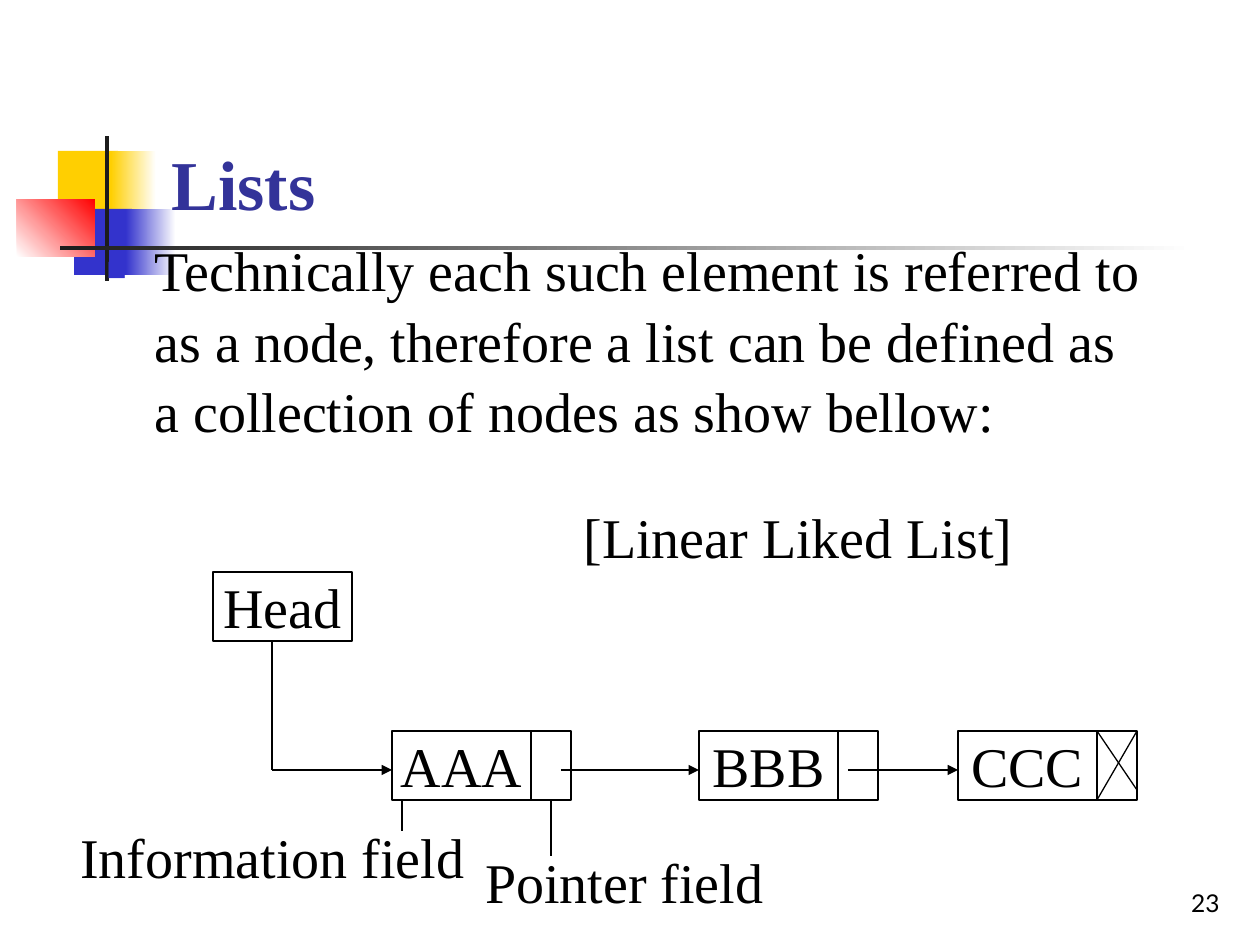
from lxml import etree
from pptx import Presentation
from pptx.dml.color import RGBColor
from pptx.enum import shapes, text
from pptx.oxml import ns
from pptx.util import Emu, Pt

PX = 914400 / 126
SERIF, SANS = "Times New Roman", "Lato"
BLACK = RGBColor(0x00, 0x00, 0x00)
WHITE = RGBColor(0xFF, 0xFF, 0xFF)
INK = RGBColor(0x1C, 0x1C, 0x1C)
GOLD = RGBColor(0xFF, 0xCF, 0x01)
BLUE = RGBColor(0x33, 0x33, 0xCC)
RED = RGBColor(0xFF, 0x00, 0x00)
NAVY = RGBColor(0x33, 0x33, 0x99)

TITLE = "Lists"
BODY = ("Technically each such element is referred to as a node, therefore "
        "a list can be defined as a collection of nodes as show bellow:")
CAPTION = "[Linear Liked List]"
PAGE = "23"

# box, colours (two make a gradient), gradient angle
DECORATION = [
    ((58, 151, 60, 66), (GOLD,), 0),
    ((111, 151, 45, 66), (GOLD, WHITE), 0),
    ((74, 209, 58, 66), (BLUE,), 0),
    ((126, 209, 50, 66), (BLUE, WHITE), 0),
    ((17, 199, 78, 58), (WHITE, RED), 45),
    ((105, 136, 4, 145), (INK,), 0),
    ((60, 246, 1134, 4), (INK, WHITE), 0),
]

HEAD = ("Head", 213, 572)
NODES = [("AAA", 392), ("BBB", 699), ("CCC", 958)]
NODE_Y, INFO_W, POINTER_W, NODE_H = 731, 139, 40, 69
NODE_BOTTOM = NODE_Y + NODE_H
LINK_Y = 770
HEAD_LINK_X = 272
LINK_STARTS = [HEAD_LINK_X, 561, 848]

# text, box, x of the arrow that points at it
FIELDS = [
    ("Information field", (94, 832, 357, 49), 402),
    ("Pointer field", (481, 857, 287, 49), 551),
]
FIELD_ARROW_END = 869


def px(*values):
    return [Emu(round(v * PX)) for v in values]


def place(sp, box):
    sp.left, sp.top, sp.width, sp.height = px(*box)


def write(sp, words, size=32, font=SERIF, color=BLACK, bold=False,
          align=text.PP_ALIGN.LEFT, anchor=text.MSO_ANCHOR.TOP,
          wrap=True, spacing=None):
    tf = sp.text_frame
    tf.auto_size = text.MSO_AUTO_SIZE.NONE
    tf.word_wrap = wrap
    tf.vertical_anchor = anchor
    p = tf.paragraphs[0]
    p.alignment = align
    p.line_spacing = spacing
    r = p.add_run()
    r.text = words
    r.font.size, r.font.name, r.font.bold = Pt(size), font, bold
    r.font.color.rgb = color
    return p


def add_rect(slide, box, colors=(WHITE,), angle=0, line=None):
    sp = slide.shapes.add_shape(shapes.MSO_SHAPE.RECTANGLE, *px(*box))
    sp.shadow.inherit = False
    if len(colors) == 1:
        sp.fill.solid()
        sp.fill.fore_color.rgb = colors[0]
    else:
        sp.fill.gradient()
        sp.fill.gradient_angle = angle
        for stop, color in zip(sp.fill.gradient_stops, colors):
            stop.color.rgb = color
    if line is None:
        sp.line.fill.background()
    else:
        sp.line.color.rgb = line
        sp.line.width = Pt(0.75)
    return sp


def add_label(slide, words, box, line=BLACK):
    write(add_rect(slide, box, line=line), words, wrap=False,
          align=text.PP_ALIGN.CENTER, anchor=text.MSO_ANCHOR.MIDDLE)


def add_line(slide, x1, y1, x2, y2, arrow=False):
    cn = slide.shapes.add_connector(
        shapes.MSO_CONNECTOR.STRAIGHT, *px(x1, y1, x2, y2))
    cn.line.color.rgb = BLACK
    cn.line.width = Pt(0.75)
    if arrow:
        ln = cn.line._get_or_add_ln()
        etree.SubElement(ln, ns.qn("a:tailEnd"), type="triangle")
    etree.SubElement(cn._element.spPr, ns.qn("a:effectLst"))


def add_text(slide, words, box, **fmt):
    write(slide.shapes.add_textbox(*px(*box)), words, **fmt)


def set_square_bullet(p):
    pPr = p._p.get_or_add_pPr()
    indent = px(48)[0]
    pPr.set("marL", str(indent))
    pPr.set("indent", str(-indent))
    color = etree.SubElement(pPr, ns.qn("a:buClr"))
    etree.SubElement(color, ns.qn("a:srgbClr"), val=str(BLUE))
    etree.SubElement(pPr, ns.qn("a:buSzPct"), val="60000")
    etree.SubElement(pPr, ns.qn("a:buChar"), char="■")


def add_list_diagram(slide):
    words, x, y = HEAD
    add_label(slide, words, (x, y, INFO_W, NODE_H))
    for words, x in NODES:
        add_label(slide, words, (x, NODE_Y, INFO_W, NODE_H))
        add_rect(slide, (x + INFO_W, NODE_Y, POINTER_W, NODE_H), line=BLACK)

    # The last pointer is crossed out
    left = NODES[-1][1] + INFO_W
    right = left + POINTER_W
    add_line(slide, left, NODE_Y, right, NODE_BOTTOM - 10)
    add_line(slide, right, NODE_Y, left, NODE_BOTTOM)

    add_line(slide, HEAD_LINK_X, HEAD[2] + NODE_H, HEAD_LINK_X, LINK_Y)
    for start, (_, end) in zip(LINK_STARTS, NODES):
        add_line(slide, start, LINK_Y, end, LINK_Y, arrow=True)

    for words, box, x in FIELDS:
        add_line(slide, x, NODE_BOTTOM, x, FIELD_ARROW_END, arrow=True)
        add_label(slide, words, box, line=WHITE)


def main():
    prs = Presentation()
    prs.slide_width, prs.slide_height = px(1260, 945)
    slide = prs.slides.add_slide(prs.slide_layouts[1])
    title, body = slide.placeholders

    for box, colors, angle in DECORATION:
        add_rect(slide, box, colors, angle)
    for ph in (title, body):  # text goes in front of the decoration
        slide.shapes._spTree.append(ph._element)

    place(title, (159, 29, 1074, 202))
    write(title, TITLE, size=40, color=NAVY, bold=True,
          anchor=text.MSO_ANCHOR.BOTTOM)
    place(body, (94, 226, 1071, 567))
    p = write(body, BODY, spacing=1.05)
    p.space_before = Pt(8)
    set_square_bullet(p)

    add_list_diagram(slide)
    add_text(slide, CAPTION, (571, 493, 496, 81), spacing=1.05)
    add_text(slide, PAGE, (970, 861, 262, 63), size=14, font=SANS,
             align=text.PP_ALIGN.RIGHT, anchor=text.MSO_ANCHOR.BOTTOM)
    prs.save("out.pptx")


if __name__ == "__main__":
    main()
